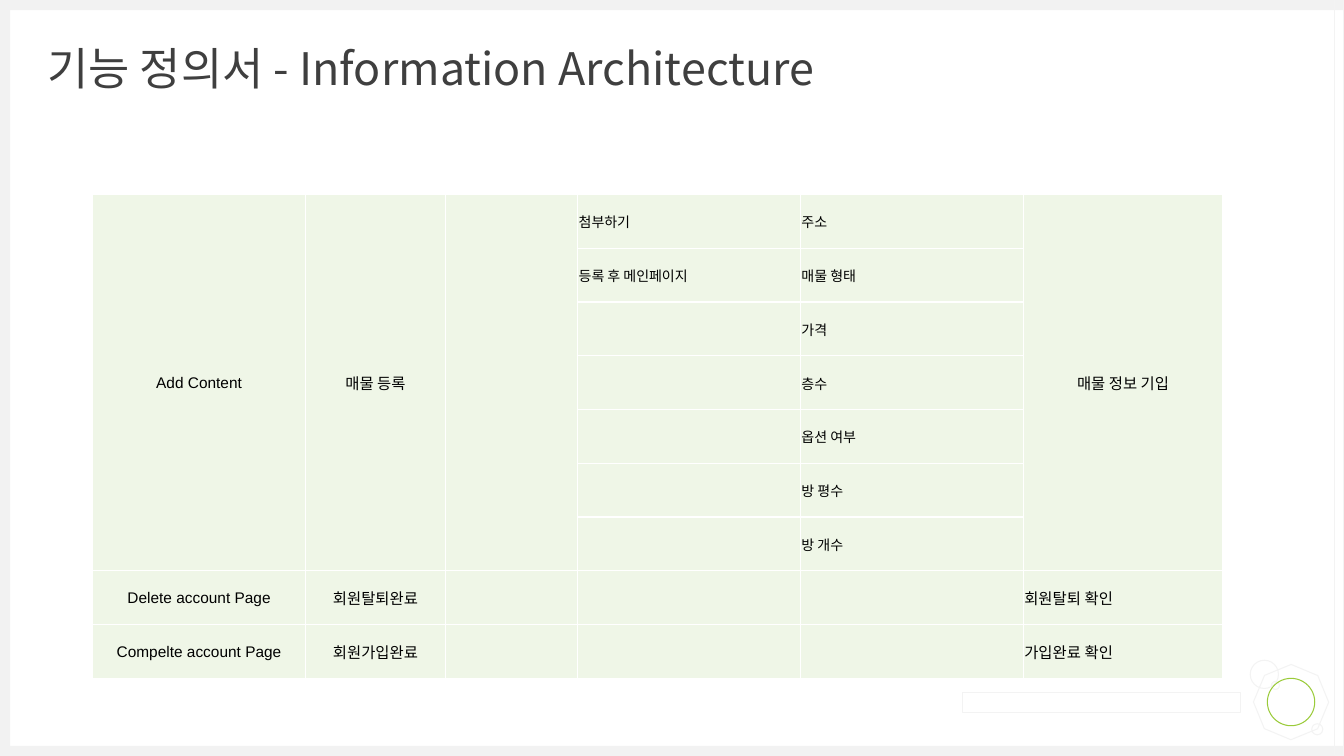
import pptx
import pptx.util
import pptx.dml.color
import pptx.enum.shapes
import pptx.enum.text
import lxml.etree
from dataclasses import dataclass

Inches = pptx.util.Inches
Pt = pptx.util.Pt
RGB = pptx.dml.color.RGBColor.from_string
SHAPE = pptx.enum.shapes.MSO_SHAPE
ALIGN = pptx.enum.text.PP_ALIGN
MIDDLE = pptx.enum.text.MSO_ANCHOR.MIDDLE


@dataclass
class Theme:
    strip: str = "F2F2F2"
    faint: str = "F3F3F3"
    ring: str = "9ACB39"
    title: str = "3F3F3F"
    cell: str = "EFF6E7"
    border: str = "FFFFFF"
    text: str = "000000"
    latin: str = "Arial"
    korean: str = "Noto Sans CJK KR"
    title_size: int = 32
    label_size: int = 11
    item_size: int = 10


theme = Theme()
A = "http://schemas.openxmlformats.org/drawingml/2006/main"


def add_shape(kind, x, y, w, h, fill=None, line=None):
    sp = s.shapes.add_shape(kind, Inches(x), Inches(y), Inches(w), Inches(h))
    sp.shadow.inherit = False
    if fill:
        sp.fill.solid()
        sp.fill.fore_color.rgb = RGB(fill)
    else:
        sp.fill.background()
    if line:
        sp.line.color.rgb = RGB(line)
        sp.line.width = Pt(0.75)
    else:
        sp.line.fill.background()
    return sp


def add_text(tf, text, size, color, font, align=ALIGN.LEFT):
    tf.word_wrap = True
    p = tf.paragraphs[0]
    p.alignment = align
    r = p.add_run()
    r.text = text
    r.font.size = Pt(size)
    r.font.name = font
    r.font.color.rgb = RGB(color)
    rPr = r.font._element
    rPr.set("kern", "0")
    lxml.etree.SubElement(rPr, f"{{{A}}}ea", typeface=theme.korean)
    return p


prs = pptx.Presentation()
prs.slide_width = Inches(13.33)
prs.slide_height = Inches(7.5)
s = prs.slides.add_slide(prs.slide_layouts[6])

for x, y, size in [(12.61, 6.76, 0.08), (13.01, 7.18, 0.11), (12.4, 6.55, 0.28)]:
    add_shape(SHAPE.OVAL, x, y, size, size, line=theme.faint)
for x, y, w, h in [(0, 7.4, 13.33, 0.1), (0, 0, 13.33, 0.1), (0, 0, 0.1, 7.5)]:
    add_shape(SHAPE.RECTANGLE, x, y, w, h, fill=theme.strip)
for x, y, w, h in [(13.24, 0, 0.09, 7.5), (9.55, 6.87, 2.75, 0.2)]:
    add_shape(SHAPE.RECTANGLE, x, y, w, h, line=theme.faint)
octagon = add_shape(SHAPE.OCTAGON, 12.46, 6.62, 0.69, 0.69, line=theme.faint)
octagon.rotation = 22.7
add_shape(SHAPE.OVAL, 12.57, 6.73, 0.47, 0.47, line=theme.ring)

title = s.shapes.add_textbox(Inches(0.47), Inches(0.47), Inches(12.4), Inches(0.47))
tf = title.text_frame
tf.margin_left = tf.margin_right = tf.margin_top = tf.margin_bottom = 0
tf.vertical_anchor = MIDDLE
p = add_text(tf, "기능 정의서 - Information Architecture",
             theme.title_size, theme.title, theme.korean)
p.line_spacing = 0.9

widths = [2.11, 1.39, 1.31, 2.21, 2.21, 1.98]
rows = [
    ["Add Content", "매물 등록", "", "첨부하기", "주소", "매물 정보 기입"],
    ["", "", "", "등록 후 메인페이지", "매물 형태", ""],
    ["", "", "", "", "가격", ""],
    ["", "", "", "", "층수", ""],
    ["", "", "", "", "옵션 여부", ""],
    ["", "", "", "", "방 평수", ""],
    ["", "", "", "", "방 개수", ""],
    ["Delete account Page", "회원탈퇴완료", "", "", "", "회원탈퇴 확인"],
    ["Compelte account Page", "회원가입완료", "", "", "", "가입완료 확인"],
]
item_columns = (3, 4)
merged_columns = (0, 1, 2, 5)
merged_rows = 7
table_height = 4.8

frame = s.shapes.add_table(len(rows), len(widths), Inches(0.92), Inches(1.93),
                           Inches(sum(widths)), Inches(table_height))
table = frame.table
table.first_row = False
table.horz_banding = False
for column, width in zip(table.columns, widths):
    column.width = Inches(width)
for row in table.rows:
    row.height = Inches(table_height / len(rows))
for c in merged_columns:
    table.cell(0, c).merge(table.cell(merged_rows - 1, c))

for i, texts in enumerate(rows):
    for c, text in enumerate(texts):
        cell = table.cell(i, c)
        cell.fill.solid()
        cell.fill.fore_color.rgb = RGB(theme.cell)
        cell.vertical_anchor = MIDDLE
        cell.margin_left = cell.margin_right = cell.margin_top = Inches(0.01)
        cell.margin_bottom = 0
        tcPr = cell._tc.get_or_add_tcPr()
        for n, side in enumerate(["lnL", "lnR", "lnT", "lnB"]):
            ln = lxml.etree.Element(f"{{{A}}}{side}", w=str(Pt(1)))
            fill = lxml.etree.SubElement(ln, f"{{{A}}}solidFill")
            lxml.etree.SubElement(fill, f"{{{A}}}srgbClr", val=theme.border)
            tcPr.insert(n, ln)
        if text:
            centred = c < 2 or (c == 5 and i == 0)
            size = theme.item_size if c in item_columns else theme.label_size
            add_text(cell.text_frame, text, size, theme.text, theme.latin,
                     ALIGN.CENTER if centred else ALIGN.LEFT)

prs.save("out.pptx")
